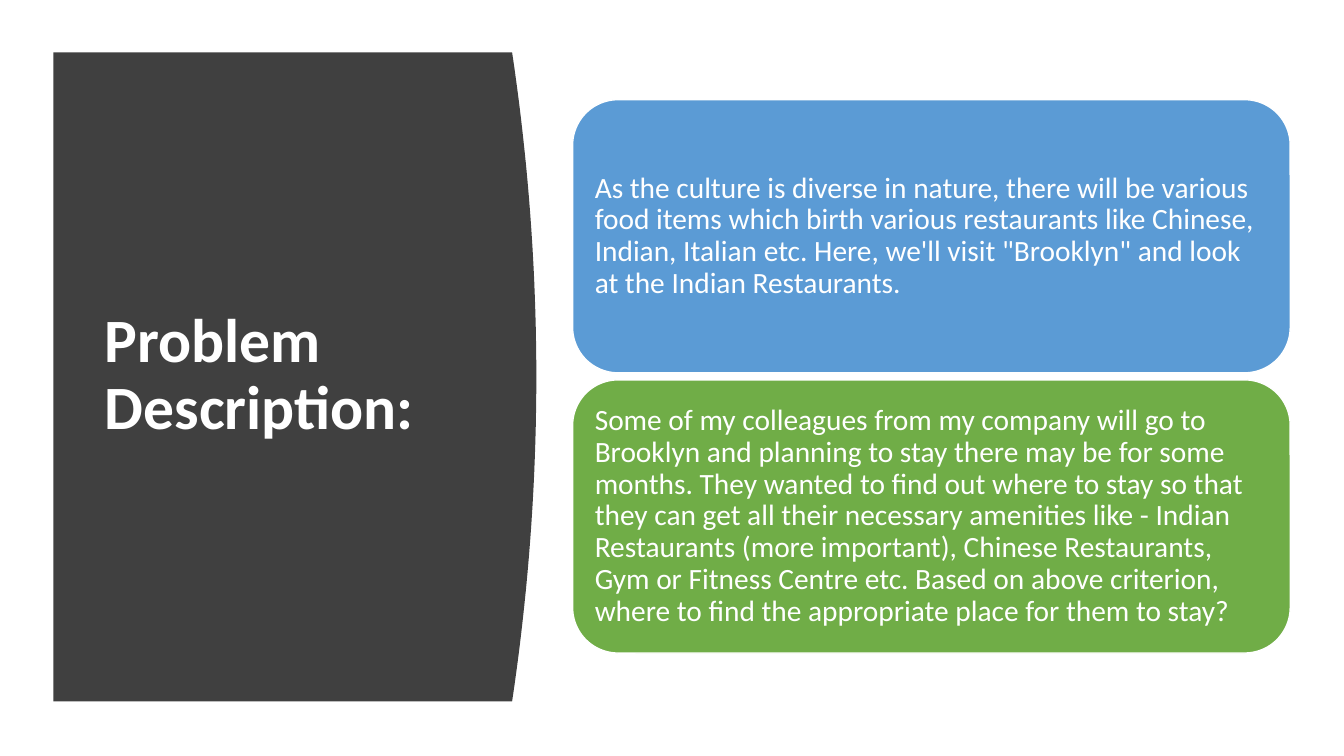
from dataclasses import dataclass

from pptx import Presentation
from pptx.dml.color import RGBColor
from pptx.enum import shapes, text
from pptx.util import Pt


@dataclass(frozen=True)
class Theme:
    font: str = "Calibri"
    title_size: float = 44
    card_size: float = 21
    panel: str = "404040"
    light: str = "FFFFFF"
    cards: tuple = ("5B9BD5", "70AD47")


THEME = Theme()
TITLE = "Problem Description:"
CARDS = (
    "As the culture is diverse in nature, there will be various food items which "
    "birth various restaurants like Chinese, Indian, Italian etc. Here, we'll visit "
    '"Brooklyn" and look at the Indian Restaurants.',
    "Some of my colleagues from my company will go to Brooklyn and planning to stay "
    "there may be for some months. They wanted to find out where to stay so that they "
    "can get all their necessary amenities like - Indian Restaurants (more important), "
    "Chinese Restaurants, Gym or Fitness Centre etc. Based on above criterion, where to "
    "find the appropriate place for them to stay?",
)


def rgb(value):
    return RGBColor.from_string(value)


def write(sp, content, size, bold=False, color=THEME.light, inset=7.2):
    tf = sp.text_frame
    tf.word_wrap = True
    tf.auto_size = text.MSO_AUTO_SIZE.NONE
    tf.vertical_anchor = text.MSO_ANCHOR.MIDDLE
    tf.margin_left = tf.margin_right = Pt(inset)
    tf.margin_top = tf.margin_bottom = Pt(inset / 2 if bold else inset)
    p = tf.paragraphs[0]
    p.alignment = text.PP_ALIGN.LEFT
    p.line_spacing = 0.9
    p.space_before = Pt(0)
    r = p.add_run()
    r.text = content
    r.font.name = THEME.font
    r.font.size = Pt(size)
    r.font.bold = bold
    r.font.color.rgb = rgb(color)


def title_panel(s, left, top, width, height, bulge=17.3, steps=40):
    edge = left + width - bulge
    curve = []
    for i in range(steps + 1):
        t = i / steps
        curve.append((Pt(edge + bulge * 4 * t * (1 - t)), Pt(top + height * t)))
    outline = s.shapes.build_freeform(Pt(left), Pt(top))
    outline.add_line_segments(curve + [(Pt(left), Pt(top + height))])
    panel = outline.convert_to_shape()
    panel.shadow.inherit = False
    panel.fill.solid()
    panel.fill.fore_color.rgb = rgb(THEME.panel)
    panel.line.fill.background()

    title = s.shapes.title
    title.left, title.top = Pt(left + 29.5), Pt(top + 42.5)
    title.width, title.height = Pt(269.3), Pt(377.3)
    write(title, TITLE, THEME.title_size, bold=True)
    panel.element.addnext(title.element)


def card_stack(s, left, top, width, height, gap=5):
    card_height = (height - gap * (len(CARDS) - 1)) / len(CARDS)
    for i, (content, fill) in enumerate(zip(CARDS, THEME.cards)):
        card = s.shapes.add_shape(
            shapes.MSO_SHAPE.ROUNDED_RECTANGLE,
            Pt(left), Pt(top + i * (card_height + gap)), Pt(width), Pt(card_height))
        card.shadow.inherit = False
        card.fill.solid()
        card.fill.fore_color.rgb = rgb(fill)
        card.line.color.rgb = rgb(THEME.light)
        card.line.width = Pt(1)
        write(card, content, THEME.card_size, inset=6.3)


def main():
    prs = Presentation()
    prs.slide_width, prs.slide_height = Pt(960), Pt(540)
    s = prs.slides.add_slide(prs.slide_layouts[5])
    title_panel(s, 38.2, 37.4, 344.9, 463.7)
    card_stack(s, 409, 71.2, 512.6, 395.3)
    prs.save("out.pptx")


if __name__ == "__main__":
    main()
